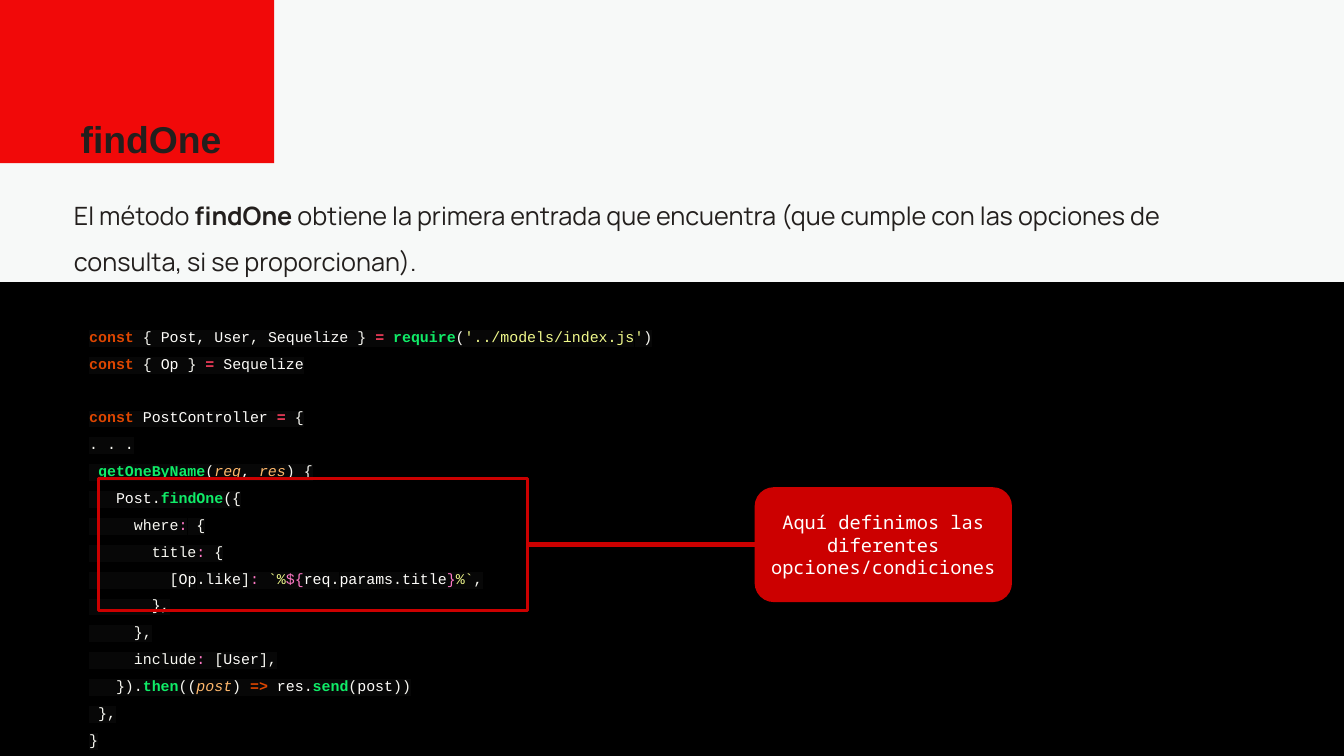
from lxml.etree import SubElement
from pptx import Presentation
from pptx.dml.color import RGBColor
from pptx.enum.shapes import MSO_CONNECTOR, MSO_SHAPE
from pptx.enum.text import MSO_ANCHOR, MSO_AUTO_SIZE, PP_ALIGN
from pptx.oxml.ns import qn
from pptx.util import Inches, Pt

WIDTH, HEIGHT = Inches(20), Inches(11.25)
COLUMN, ROW = WIDTH / 40, HEIGHT / 45

PAPER = RGBColor(0xF7, 0xF9, 0xF8)
BLACK = RGBColor(0x00, 0x00, 0x00)
WHITE = RGBColor(0xFF, 0xFF, 0xFF)
INK = RGBColor(0x23, 0x1F, 0x1D)
RED = RGBColor(0xF1, 0x09, 0x09)
DARK_RED = RGBColor(0xCC, 0x00, 0x00)
HIGHLIGHT = RGBColor(0x07, 0x07, 0x07)

PLAIN = {"color": RGBColor(0xF8, 0xF8, 0xF2)}
NAME = {"color": RGBColor(0xFF, 0xFE, 0xFB)}
KEYWORD = {"color": RGBColor(0xDE, 0x46, 0x00), "bold": True}
EQUALS = {"color": RGBColor(0xFB, 0x3F, 0x5E), "bold": True}
CALL = {"color": RGBColor(0x10, 0xEC, 0x68), "bold": True}
ARGUMENT = {"color": RGBColor(0xFF, 0xB8, 0x6C), "italic": True}
QUOTE = {"color": RGBColor(0xE9, 0xF2, 0x84)}
STRING = {"color": RGBColor(0xF1, 0xFA, 0x8C)}
MARK = {"color": RGBColor(0xFF, 0x79, 0xC6)}

CODE_FONT = {"size": Pt(16), "name": "Courier New", "bold": False, "italic": False}
BODY_FONT = {"size": Pt(27), "name": "Manrope", "color": INK}
TITLE_FONT = {"size": Pt(40), "name": "Arial", "color": INK, "bold": True}
CALLOUT_FONT = {"size": Pt(20), "name": "Noto Sans Mono", "color": WHITE}

CODE_BLOCKS = [
    [
        [("const", KEYWORD), (" { ", PLAIN), ("Post", NAME), (", ", PLAIN), ("User", NAME),
         (", ", PLAIN), ("Sequelize", NAME), (" } ", PLAIN), ("=", EQUALS), (" ", PLAIN),
         ("require", CALL), ("(", PLAIN), ("'", QUOTE), ("../models/index.js", STRING),
         ("'", QUOTE), (")", PLAIN)],
        [("const", KEYWORD), (" { ", PLAIN), ("Op", NAME), (" } ", PLAIN), ("=", EQUALS),
         (" ", PLAIN), ("Sequelize", NAME)],
    ],
    [
        [("const", KEYWORD), (" ", PLAIN), ("PostController", NAME), (" ", PLAIN),
         ("=", EQUALS), (" {", PLAIN)],
        [(". . .", PLAIN)],
        [(" ", PLAIN), ("getOneByName", CALL), ("(", PLAIN), ("req", ARGUMENT),
         (", ", PLAIN), ("res", ARGUMENT), (") {", PLAIN)],
        [("   ", PLAIN), ("Post", NAME), (".", PLAIN), ("findOne", CALL), ("({", PLAIN)],
        [("     where", PLAIN), (":", MARK), (" {", PLAIN)],
        [("       title", PLAIN), (":", MARK), (" {", PLAIN)],
        [("         [", PLAIN), ("Op", NAME), (".", PLAIN), ("like", NAME), ("]", PLAIN),
         (":", MARK), (" ", PLAIN), ("`%", STRING), ("${", MARK), ("req", NAME),
         (".", PLAIN), ("params", NAME), (".", PLAIN), ("title", NAME), ("}", MARK),
         ("%`", STRING), (",", PLAIN)],
        [("       },", PLAIN)],
        [("     },", PLAIN)],
        [("     include", PLAIN), (":", MARK), (" [", PLAIN), ("User", NAME), ("],", PLAIN)],
        [("   }).", PLAIN), ("then", CALL), ("((", PLAIN), ("post", ARGUMENT), (") ", PLAIN),
         ("=>", KEYWORD), (" ", PLAIN), ("res", NAME), (".", PLAIN), ("send", CALL),
         ("(", PLAIN), ("post", NAME), ("))", PLAIN)],
        [(" },", PLAIN)],
        [("}", PLAIN)],
    ],
]


def cells(left, top, width, height):
    return [int(left * COLUMN), int(top * ROW), int(width * COLUMN), int(height * ROW)]


def add_span(para, text, style, highlight=None):
    span = para.add_run()
    span.text = text
    for key, value in style.items():
        if key == "color":
            span.font.color.rgb = value
        else:
            setattr(span.font, key, value)
    if highlight is not None:
        mark = span.font.fill._xPr.makeelement(qn("a:highlight"), {})
        SubElement(mark, qn("a:srgbClr"), val=str(highlight))
        span.font.fill._xPr.find(qn("a:solidFill")).addnext(mark)


def format_frame(frame, inset, anchor=MSO_ANCHOR.TOP, auto_size=MSO_AUTO_SIZE.SHAPE_TO_FIT_TEXT):
    values = {"word_wrap": True, "auto_size": auto_size, "vertical_anchor": anchor}
    for side in ("left", "top", "right", "bottom"):
        values[f"margin_{side}"] = Inches(inset)
    for key, value in values.items():
        setattr(frame, key, value)


def add_block(page, kind, place, fill=None, line=None):
    block = page.shapes.add_shape(kind, *place)
    block.shadow.inherit = False
    if fill is None:
        block.fill.background()
    else:
        block.fill.solid()
        block.fill.fore_color.rgb = fill
    if line is None:
        block.line.fill.background()
    else:
        block.line.color.rgb = line
        block.line.width = Pt(3)
    return block


def add_link(page, start, end):
    link = page.shapes.add_connector(MSO_CONNECTOR.STRAIGHT, 0, 0, 0, 0)
    link.begin_connect(start, 3)
    link.end_connect(end, 1)
    link.line.color.rgb = DARK_RED
    link.line.width = Pt(6)
    SubElement(link.element.spPr, qn("a:effectLst"))


def add_description(page):
    box = page.shapes.add_textbox(*cells(2.2, 11.04, 34.76, 4.56))
    format_frame(box.text_frame, 0)
    para = box.text_frame.paragraphs[0]
    para.line_spacing = 1.5
    add_span(para, "El método ", BODY_FONT)
    add_span(para, "findOne", {**BODY_FONT, "bold": True})
    add_span(para, " obtiene la primera entrada que encuentra (que cumple con las "
                   "opciones de consulta, si se proporcionan).", BODY_FONT)


def add_code(page):
    box = page.shapes.add_textbox(*cells(2.46, 18.56, 34.2, 26.12))
    frame = box.text_frame
    format_frame(frame, 0.1)
    for block_index, block in enumerate(CODE_BLOCKS):
        for line_index, line in enumerate(block):
            first = block_index == line_index == 0
            para = frame.paragraphs[0] if first else frame.add_paragraph()
            para.line_spacing = 1.5
            if block_index and not line_index:
                para.space_before = Pt(28.8)
            for text, style in line:
                add_span(para, text, {**CODE_FONT, **style}, HIGHLIGHT)


def add_callout(page):
    callout = add_block(page, MSO_SHAPE.ROUNDED_RECTANGLE, cells(22.46, 29, 7.66, 6.84), DARK_RED)
    format_frame(callout.text_frame, 0.1, MSO_ANCHOR.MIDDLE, MSO_AUTO_SIZE.NONE)
    para = callout.text_frame.paragraphs[0]
    para.alignment = PP_ALIGN.CENTER
    add_span(para, "Aquí definimos las diferentes opciones/condiciones", CALLOUT_FONT)
    return callout


def set_title(page, text):
    title = page.shapes.title
    title.left, title.top, title.width, title.height = cells(2.2, 5.96, 28.92, 3.52)
    format_frame(title.text_frame, 0.1)
    para = title.text_frame.paragraphs[0]
    para.alignment = PP_ALIGN.LEFT
    para.line_spacing = 1.2
    add_span(para, text, TITLE_FONT)
    title.element.getparent().append(title.element)


def main():
    deck = Presentation()
    deck.slide_width, deck.slide_height = WIDTH, HEIGHT
    page = deck.slides.add_slide(deck.slide_layouts[5])
    page.background.fill.solid()
    page.background.fill.fore_color.rgb = PAPER

    add_block(page, MSO_SHAPE.RECTANGLE, cells(0, 16.8, 40, 28.2), BLACK)
    add_description(page)
    add_code(page)
    frame = add_block(page, MSO_SHAPE.RECTANGLE, cells(2.92, 28.48, 12.78, 7.88), line=DARK_RED)
    callout = add_callout(page)
    add_link(page, frame, callout)
    add_block(page, MSO_SHAPE.RECTANGLE, cells(0, 0, 8.16, 9.72), RED)
    set_title(page, "findOne")
    deck.save("out.pptx")


if __name__ == "__main__":
    main()
